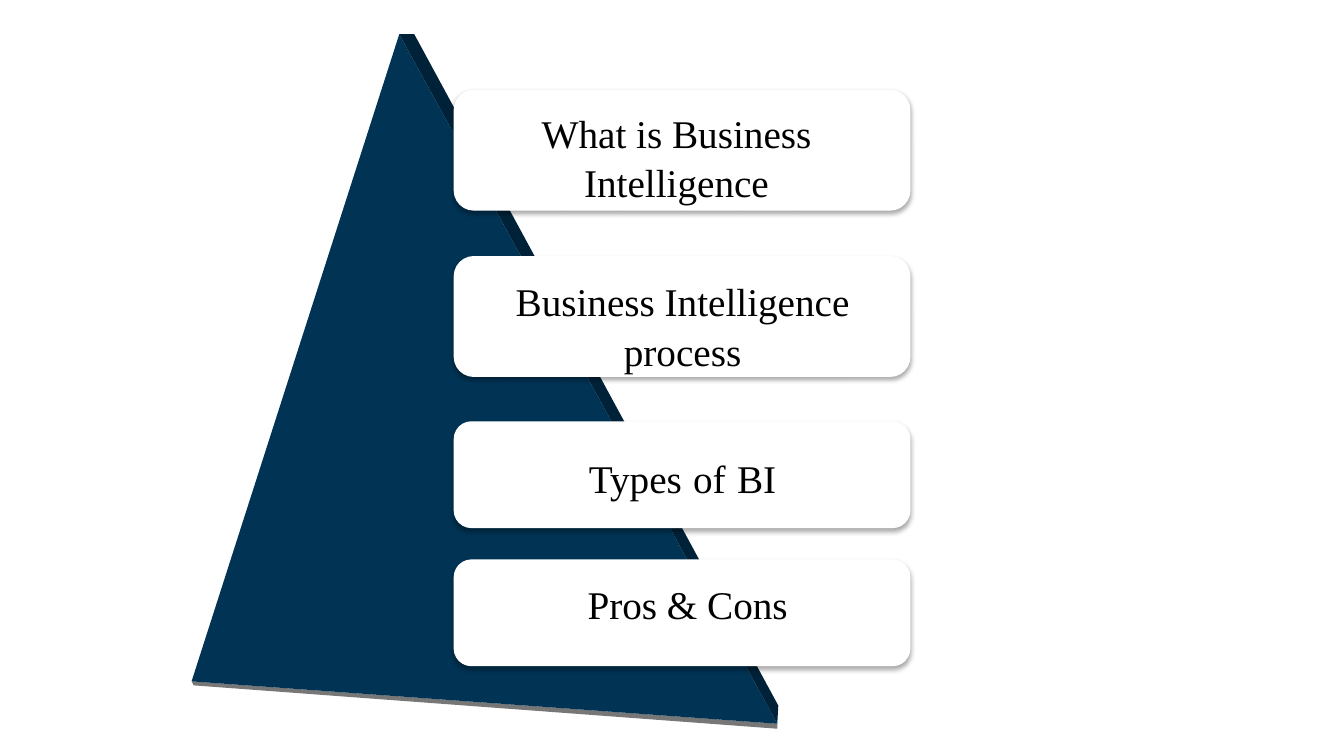
from lxml import etree
from pptx import Presentation
from pptx.dml.color import RGBColor
from pptx.enum import shapes, text
from pptx.oxml import ns
from pptx.util import Inches, Pt

CARD_LEFT = 4.5
CARD_WIDTH = 4.53
TEXT_WIDTH = 3.94
FRONT_FACE = [(3.96, 0.34), (1.9, 6.76), (7.71, 7.18)]
SIDE_FACE = [(3.96, 0.34), (4.11, 0.34), (7.72, 7.0), (7.71, 7.18)]
BASE_SHADOW = [(1.9, 6.76), (7.71, 7.18), (7.71, 7.23), (1.92, 6.8)]

TOPICS = [
    (0.89, 1.2, 4.74, 1.01, 1.35, [("What is Business Intelligence", 28)]),
    (2.54, 1.2, 4.8, 2.68, 1.82, [("Business Intelligence process", 28)]),
    (4.18, 1.06, 4.8, 4.38, 0.98,
     [("Types", 28), (" ", 32), ("of", 28), (" ", 32), ("BI", 28)]),
    (5.55, 1.06, 4.85, 5.68, 1.04, [("Pros & Cons", 28)]),
]


def color(value):
    return RGBColor.from_string(value)


def paint(shape, fill):
    shape.shadow.inherit = False
    shape.fill.solid()
    shape.fill.fore_color.rgb = color(fill)
    shape.line.fill.background()


def add_face(slide, points, fill):
    corners = [(Inches(x), Inches(y)) for x, y in points]
    builder = slide.shapes.build_freeform(*corners[0])
    builder.add_line_segments(corners[1:], close=True)
    paint(builder.convert_to_shape(), fill)


def add_drop_shadow(shape):
    effects = shape._element.spPr.find(ns.qn("a:effectLst"))
    shadow = etree.SubElement(
        effects, ns.qn("a:outerShdw"), blurRad=str(Pt(3.5)),
        dist=str(Pt(2.2)), dir="5400000", algn="t", rotWithShape="0")
    black = etree.SubElement(shadow, ns.qn("a:srgbClr"), val="000000")
    etree.SubElement(black, ns.qn("a:alpha"), val="32000")


def add_card(slide, top, height):
    shape = slide.shapes.add_shape(
        shapes.MSO_SHAPE.ROUNDED_RECTANGLE, Inches(CARD_LEFT), Inches(top),
        Inches(CARD_WIDTH), Inches(height))
    paint(shape, "FFFFFF")
    add_drop_shadow(shape)


def add_label(slide, left, top, height, runs):
    shape = slide.shapes.add_textbox(
        Inches(left), Inches(top), Inches(TEXT_WIDTH), Inches(height))
    shape.text_frame.word_wrap = True
    paragraph = shape.text_frame.paragraphs[0]
    paragraph.alignment = text.PP_ALIGN.CENTER
    paragraph.line_spacing = 1.05
    paragraph.font.name = "Times New Roman"
    paragraph.font.color.rgb = color("000000")
    for words, size in runs:
        run = paragraph.add_run()
        run.text = words
        run.font.size = Pt(size)


def main():
    presentation = Presentation()
    presentation.slide_width = Inches(13.33)
    presentation.slide_height = Inches(7.5)
    slide = presentation.slides.add_slide(presentation.slide_layouts[6])
    add_face(slide, BASE_SHADOW, "777777")
    add_face(slide, SIDE_FACE, "002239")
    add_face(slide, FRONT_FACE, "003354")
    for card_top, card_height, left, top, height, runs in TOPICS:
        add_card(slide, card_top, card_height)
        add_label(slide, left, top, height, runs)
    presentation.save("out.pptx")


if __name__ == "__main__":
    main()
